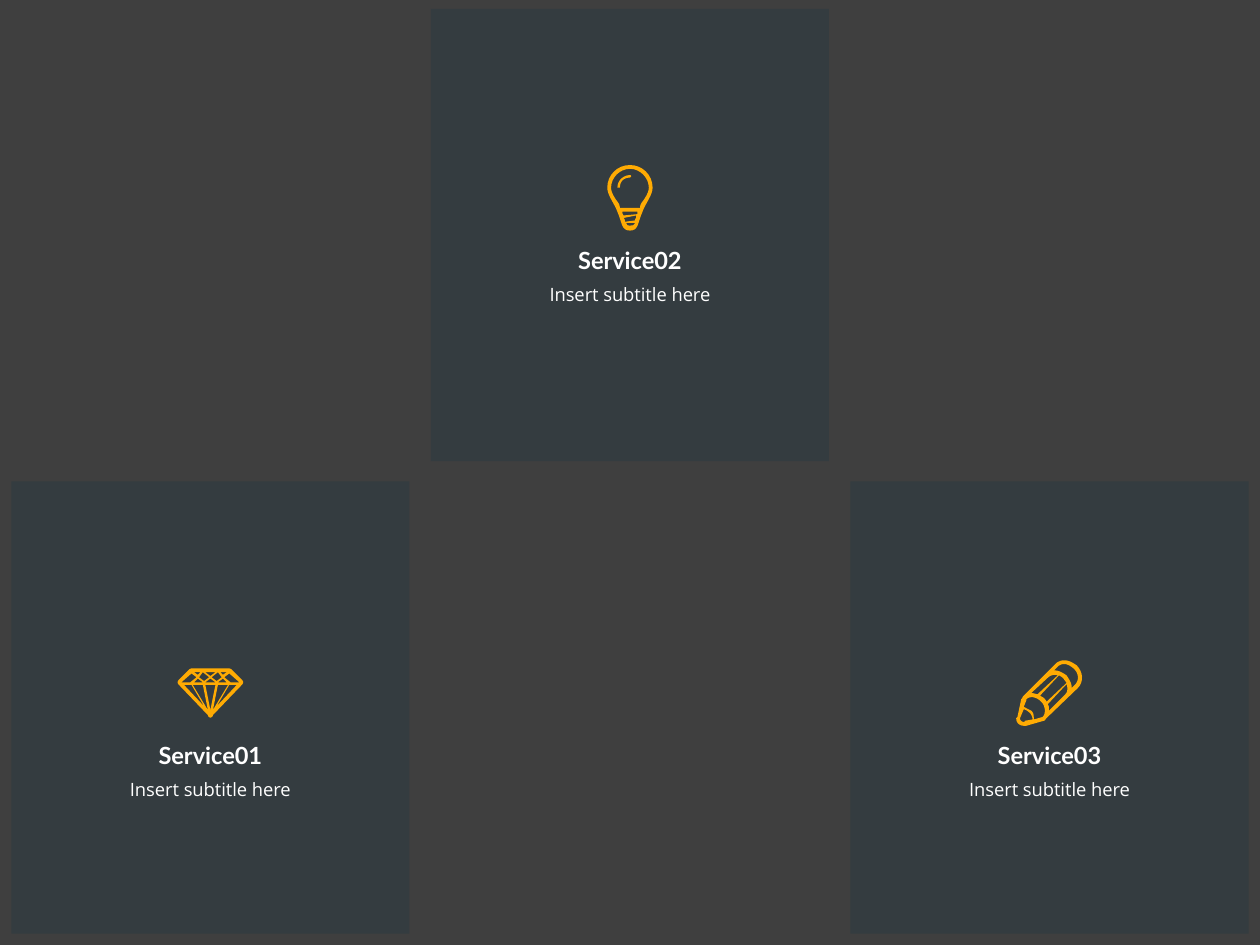
from lxml import etree
from pptx import Presentation
from pptx import util as u
from pptx.dml.color import RGBColor
from pptx.enum import shapes, text
from pptx.oxml import ns

BACKGROUND, CARD, ACCENT, WHITE = "3F3F3F", "313C41", "FFAB03", "FFFFFF"
CARD_WIDTH, CARD_HEIGHT, CARD_PITCH, FIRST_LEFT = 3.16, 3.59, 3.33, 0.09
CURVE_STEPS = 8


def mirrored(outline, width):
    numbers = [segment.split() for segment in outline.split(",")]
    return ",".join(f"{width - int(x)} {y}" for x, y in numbers)


# Outline units are hundredths of an inch; two numbers are a line, six a curve.
DIAMOND_SIDE = [
    "27 7,32 3,35 7,31 10",
    "32 13,40 13,28 33",
    "32 11,36 8,39 11",
    "34 3,39 3,36 5",
    "41 13,47 13,31 30",
    "42 11,37 7,41 4,49 11",
]
DIAMOND = [
    "51 9,43 1,42 0 41 0 41 0,11 0,11 0 10 0 9 1,1 9,1 9 0 10 0 11,0 12 1 13 1 13,"
    "24 37,24 38 25 39 26 39,27 39 28 38 28 37,51 13,51 13 52 12 52 11,52 10 51 9 51 9",
    "30 11,22 11,26 8",
    "30 13,26 33,22 13",
    "26 6,22 3,30 3",
    *DIAMOND_SIDE,
    *[mirrored(facet, 52) for facet in DIAMOND_SIDE],
]
BULB = [
    "18 0,8 0 0 8 0 18,0 24 6 31 8 37,12 46 11 52 18 52,25 52 24 46 28 37,"
    "30 31 36 24 36 18,36 8 28 0 18 0",
    "22 44,14 45,14 44 14 43 13 42,23 40,23 41 23 42 23 42,22 43 22 43 22 44",
    "13 40,12 39 12 38 12 37,24 37,24 38 24 38 24 39",
    "18 48,16 48 16 48 15 46,22 46,21 48 20 48 18 48",
    "26 34,10 34,10 32 9 30 8 29,5 25 3 21 3 18,3 10 10 3 18 3,26 3 33 10 33 18,"
    "33 21 31 25 28 29,27 30 26 32 26 34",
]
GLINT = ["18 8,13 8 8 12 8 18,8 18 9 18 9 18,9 18 10 18 10 18,10 13 13 10 18 10,"
         "18 10 19 9 19 9,19 8 18 8 18 8"]
PENCIL = [
    "48 4,45 2 42 0 38 0,36 0 33 1 31 3,6 28,5 29 5 30 4 31,1 45,1 45 0 46 0 46,"
    "0 50 3 52 6 52,7 52 8 52 8 52,22 48,23 48 23 47 24 46,49 22,54 17 53 9 48 4",
    "26 39,26 37 26 36 25 35,40 19,41 22 41 25 39 27,26 40",
    "24 33,24 32 23 31 22 30,21 29 20 29 19 28,34 12,36 13 37 14 38 15,38 16 39 16 40 18",
    "17 27,16 27 14 26 12 26,25 14,27 12 30 11 33 12",
    "7 48,7 49 6 49 6 49,5 49 3 48 3 46,6 39,7 39 9 40 11 42,12 43 13 45 13 47",
    "14 47,14 44 14 42 12 40,10 39 8 38 6 37,8 32,8 31 8 31 8 31,11 28 16 29 20 33,"
    "23 36 24 42 21 45",
    "47 19,44 22,44 22 44 21 44 21,44 18 42 15 40 12,37 10 34 8 30 8,33 5,"
    "34 4 36 3 38 3,41 3 44 5 46 7,48 9 49 11 49 14,49 16 48 18 47 19",
]
SERVICES = [
    {"name": "Service01", "card_top": 3.82, "name_top": 5.83, "icon": [DIAMOND], "size": (0.52, 0.39)},
    {"name": "Service02", "card_top": 0.07, "name_top": 1.9, "icon": [BULB, GLINT], "size": (0.36, 0.52)},
    {"name": "Service03", "card_top": 3.82, "name_top": 5.83, "icon": [PENCIL], "size": (0.53, 0.52)},
]
SUBTITLE = "Insert subtitle here"


def paint(fill, color):
    fill.solid()
    fill.fore_color.rgb = RGBColor.from_string(color)


def finish(shape, color):
    shape.shadow.inherit = False
    shape.line.fill.background()
    paint(shape.fill, color)


def add_card(slide, left, top):
    card = slide.shapes.add_shape(
        shapes.MSO_SHAPE.RECTANGLE, u.Inches(left), u.Inches(top),
        u.Inches(CARD_WIDTH), u.Inches(CARD_HEIGHT))
    finish(card, CARD)
    color = card.fill._xPr.find(ns.qn("a:solidFill"))[0]
    etree.SubElement(color, ns.qn("a:alpha"), val="75000")


def add_label(slide, content, center, top, width, height, *, size, font, bold=False,
              wrap=True, spacing=1.0):
    box = slide.shapes.add_textbox(
        u.Inches(center - width / 2), u.Inches(top), u.Inches(width), u.Inches(height))
    box.text_frame.word_wrap = wrap
    box.text_frame.auto_size = text.MSO_AUTO_SIZE.SHAPE_TO_FIT_TEXT
    paragraph = box.text_frame.paragraphs[0]
    paragraph.alignment = text.PP_ALIGN.CENTER
    paragraph.line_spacing = spacing
    run = paragraph.add_run()
    run.text = content
    run.font.size, run.font.name, run.font.bold = u.Pt(size), font, bold
    run.font.color.rgb = RGBColor.from_string(WHITE)


def outline_points(outline):
    points = []
    for segment in outline.split(","):
        numbers = [int(number) for number in segment.split()]
        if len(numbers) == 2:
            points.append(tuple(numbers))
            continue
        controls = [points[-1], *zip(numbers[::2], numbers[1::2])]
        for step in range(1, CURVE_STEPS + 1):
            t = step / CURVE_STEPS
            weights = ((1 - t) ** 3, 3 * t * (1 - t) ** 2, 3 * t * t * (1 - t), t ** 3)
            points.append(tuple(
                sum(weight * control[axis] for weight, control in zip(weights, controls))
                for axis in (0, 1)))
    return points


def add_outlines(slide, outlines, left, top):
    builder = None
    for outline in outlines:
        points = [(u.Inches(left + x / 100), u.Inches(top + y / 100))
                  for x, y in outline_points(outline)]
        if builder is None:
            builder = slide.shapes.build_freeform(*points[0], scale=1.0)
        else:
            builder.move_to(*points[0])
        builder.add_line_segments(points[1:], close=True)
    finish(builder.convert_to_shape(), ACCENT)


def main():
    presentation = Presentation()
    presentation.slide_width, presentation.slide_height = u.Inches(10), u.Inches(7.5)
    slide = presentation.slides.add_slide(presentation.slide_layouts[6])
    paint(slide.background.fill, BACKGROUND)
    for column, service in enumerate(SERVICES):
        left = FIRST_LEFT + column * CARD_PITCH
        center = left + CARD_WIDTH / 2
        name_top = service["name_top"]
        width, height = service["size"]
        add_card(slide, left, service["card_top"])
        add_label(slide, service["name"], center, name_top, 1.04, 0.33,
                  size=13.5, font="Lato", bold=True, wrap=False)
        add_label(slide, SUBTITLE, center, name_top + 0.21, 2.05, 0.37,
                  size=10.5, font="Open Sans", spacing=1.5)
        for outlines in service["icon"]:
            add_outlines(slide, outlines, center - width / 2, name_top - 0.33 - height / 2)
    presentation.save("out.pptx")


if __name__ == "__main__":
    main()
